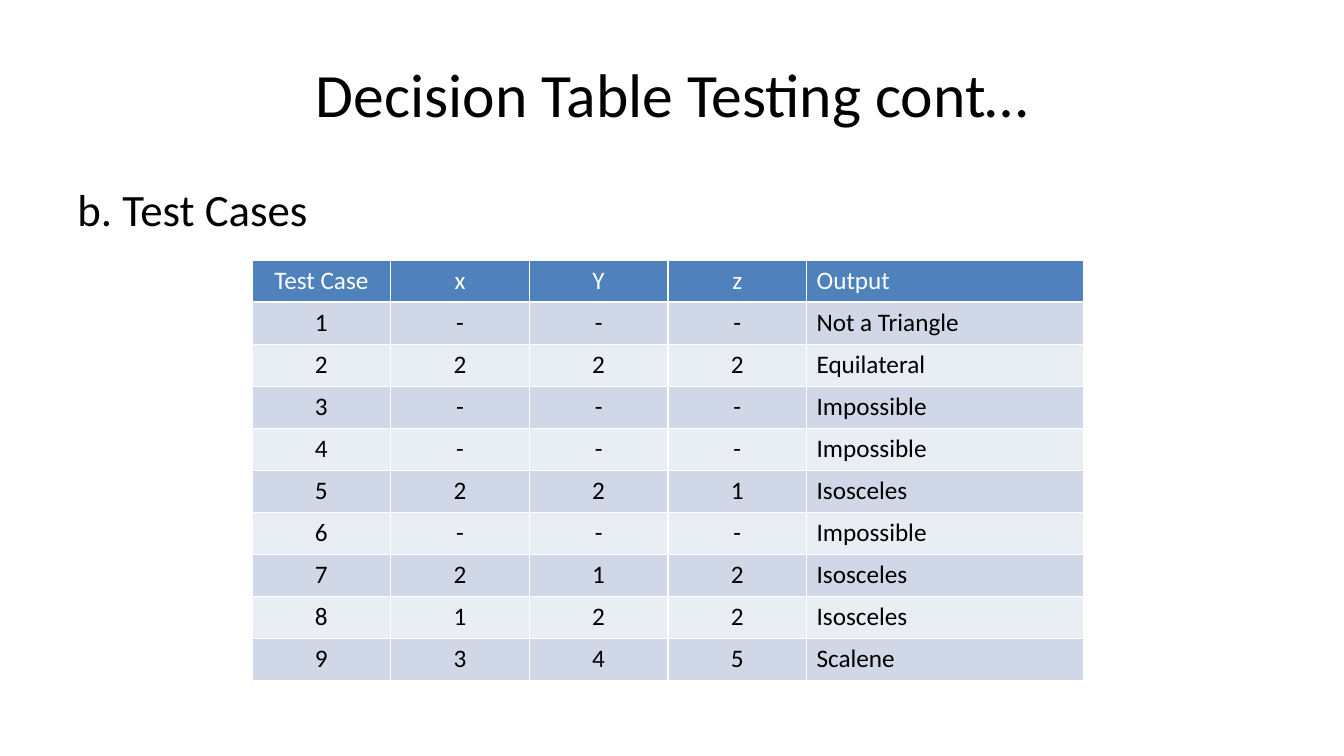
"""Build the decision table testing slide with its table of test cases."""
from lxml import etree
from pptx import Presentation
from pptx.dml.color import RGBColor
from pptx.enum.text import MSO_ANCHOR, PP_ALIGN
from pptx.oxml.ns import qn
from pptx.util import Inches, Pt

LEFT, CENTER = PP_ALIGN.LEFT, PP_ALIGN.CENTER
TOP, MIDDLE = MSO_ANCHOR.TOP, MSO_ANCHOR.MIDDLE

TITLE = "Decision Table Testing cont…"
SUBTITLE = "b. Test Cases"
ROWS = [
    ("Test Case", "x", "Y", "z", "Output"),
    ("1", "-", "-", "-", "Not a Triangle"),
    ("2", "2", "2", "2", "Equilateral"),
    ("3", "-", "-", "-", "Impossible"),
    ("4", "-", "-", "-", "Impossible"),
    ("5", "2", "2", "1", "Isosceles"),
    ("6", "-", "-", "-", "Impossible"),
    ("7", "2", "1", "2", "Isosceles"),
    ("8", "1", "2", "2", "Isosceles"),
    ("9", "3", "4", "5", "Scalene"),
]
FONT = "Calibri"
BLACK, WHITE = "000000", "FFFFFF"
HEADER_FILL, BAND_FILLS = "4F81BD", ("E9EDF4", "D0D8E8")
TABLE_LEFT, TABLE_TOP, TABLE_WIDTH, TABLE_HEIGHT = 2.5, 2.58, 8.25, 4.17
COLUMN_SHARES = (1, 1, 1, 1, 2)


def color(hex_value):
    return RGBColor.from_string(hex_value)


def format_text(text_frame, size, hex_value, alignment):
    paragraph = text_frame.paragraphs[0]
    paragraph.alignment = alignment
    font = paragraph.runs[0].font
    font.name, font.size, font.bold = FONT, Pt(size), False
    font.color.rgb = color(hex_value)
    return paragraph


def add_text(slide, text, top, height, size, alignment, anchor):
    shape = slide.shapes.add_textbox(Inches(0.67), Inches(top), Inches(12), Inches(height))
    text_frame = shape.text_frame
    text_frame.word_wrap = True
    text_frame.vertical_anchor = anchor
    text_frame.text = text
    return format_text(text_frame, size, BLACK, alignment)


def add_borders(cell):
    properties = cell._tc.get_or_add_tcPr()
    for side in ("a:lnL", "a:lnR", "a:lnT", "a:lnB"):
        line = etree.SubElement(properties, qn(side), w=str(Pt(1)))
        fill = etree.SubElement(line, qn("a:solidFill"))
        etree.SubElement(fill, qn("a:srgbClr"), val=WHITE)


def add_test_cases(slide):
    table = slide.shapes.add_table(
        len(ROWS), len(COLUMN_SHARES), Inches(TABLE_LEFT), Inches(TABLE_TOP),
        Inches(TABLE_WIDTH), Inches(TABLE_HEIGHT)).table
    table.horz_banding = False
    for column, share in zip(table.columns, COLUMN_SHARES):
        column.width = Inches(TABLE_WIDTH * share / sum(COLUMN_SHARES))
    for row_index, values in enumerate(ROWS):
        is_header = row_index == 0
        for column_index, value in enumerate(values):
            cell = table.cell(row_index, column_index)
            cell.text_frame.text = value
            is_output = column_index == len(values) - 1
            format_text(cell.text_frame, 18, WHITE if is_header else BLACK,
                        LEFT if is_output else CENTER)
            add_borders(cell)
            cell.fill.solid()
            cell.fill.fore_color.rgb = color(HEADER_FILL if is_header else BAND_FILLS[row_index % 2])


def main():
    presentation = Presentation()
    presentation.slide_width, presentation.slide_height = Inches(13.33), Inches(7.5)
    slide = presentation.slides.add_slide(presentation.slide_layouts[6])
    add_text(slide, TITLE, 0.3, 1.25, 44, CENTER, MIDDLE)
    subtitle = add_text(slide, SUBTITLE, 1.75, 4.95, 32, LEFT, TOP)
    subtitle.space_before = Pt(6.4)
    add_test_cases(slide)
    presentation.save("out.pptx")


if __name__ == "__main__":
    main()
